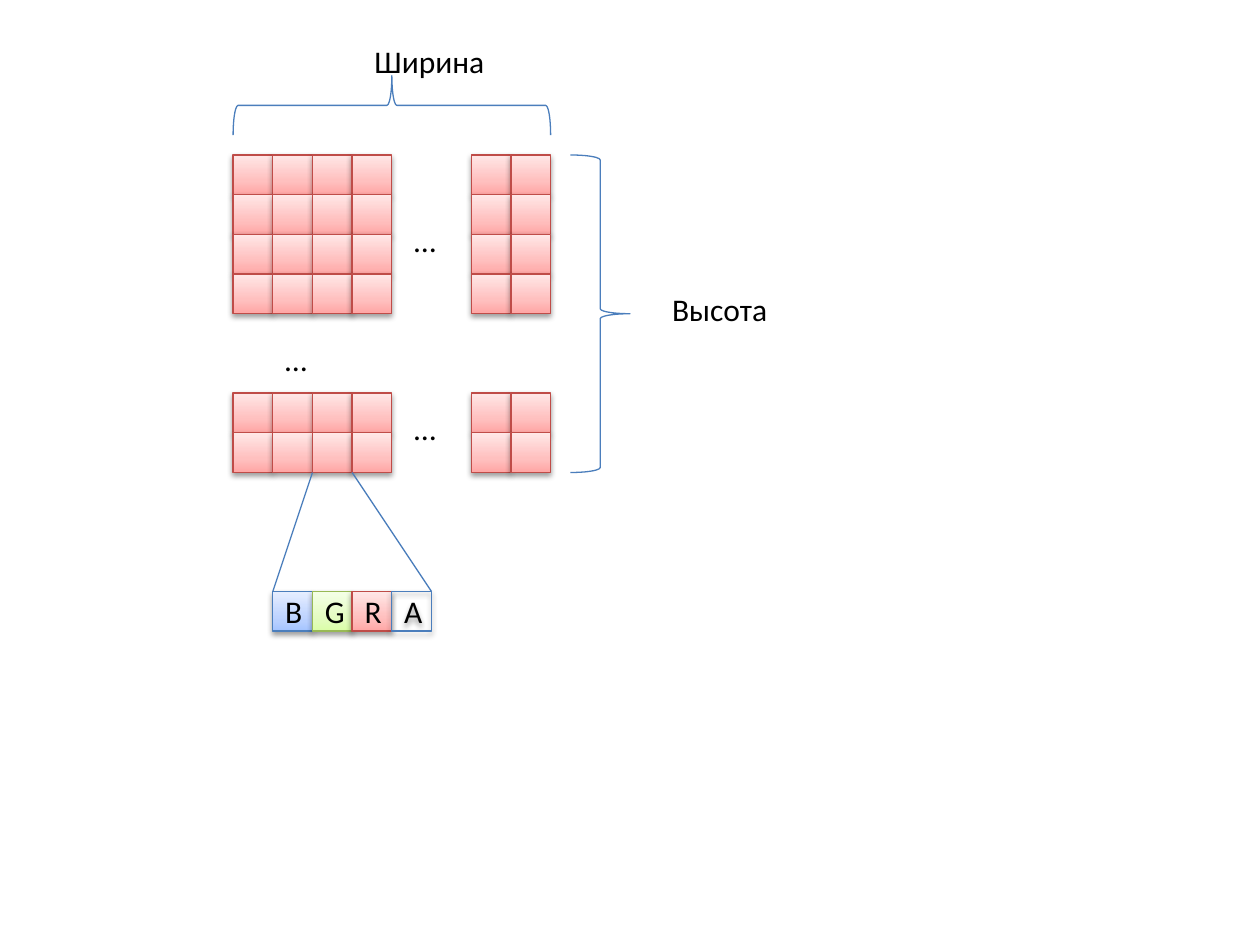
"""Build a slide showing how a bitmap is laid out as a grid of BGRA pixels."""
from dataclasses import dataclass
from itertools import product

from lxml import etree
from pptx import Presentation
from pptx import util as u
from pptx.dml.color import RGBColor
from pptx.enum import shapes, text
from pptx.oxml.ns import qn


@dataclass(frozen=True)
class Theme:
    font: str = "Calibri"
    size: int = 18
    ink: str = "000000"
    blue: str = "4B7EBC"
    green: str = "98B955"
    red: str = "BF4C48"
    line: float = 0.75
    blue_fade: tuple = ("A4C4FF", "BFD4FF", "E6EEFF")
    green_fade: tuple = ("DAFDA7", "E4FCC2", "F5FFE7")
    red_fade: tuple = ("FFA6A5", "FFC0BF", "FFE7E7")


THEME = Theme()
LEFT, TOP, CELL = 1.85, 1.23, 2.52 / 8

COLUMN_BLOCKS = [range(0, 4), range(6, 8)]
ROW_BLOCKS = [range(0, 4), range(6, 8)]
CHANNELS = [
    ("B", THEME.blue, THEME.blue_fade),
    ("G", THEME.green, THEME.green_fade),
    ("R", THEME.red, THEME.red_fade),
    ("A", THEME.blue, None),
]
CHANNEL_COLUMN, CHANNEL_ROW = 1, 11
ELLIPSES = [(1, 4.5), (4.25, 1.5), (4.25, 6.25)]
DIMENSIONS = [("Ширина", 3.25, -3, 1.08), ("Высота", 10.75, 3.25, 0.96)]
BRACES = [(8.5, 0, 0), (3.25, -5.25, 270)]
ZOOM_LINES = [((2, 8), (1, 11)), ((3, 8), (5, 11))]


def place(column, row):
    return u.Inches(LEFT + column * CELL), u.Inches(TOP + row * CELL)


def outline(item, color):
    item.line.color.rgb = RGBColor.from_string(color)
    item.line.width = u.Pt(THEME.line)


def write(frame, words):
    frame.text = words
    font = frame.paragraphs[0].font
    font.name, font.size = THEME.font, u.Pt(THEME.size)
    font.color.rgb = RGBColor.from_string(THEME.ink)


def fade(shape, colors):
    shape.fill.gradient()
    shape.fill.gradient_angle = 90
    stops = shape._element.spPr.find(".//" + qn("a:gsLst"))
    for stop in list(stops):
        stops.remove(stop)
    for position, color in zip((0, 35, 100), colors):
        stop = etree.SubElement(stops, qn("a:gs"), pos=str(position * 1000))
        etree.SubElement(stop, qn("a:srgbClr"), val=color)


def cast_shadow(shape):
    shape.shadow.inherit = False
    effects = shape._element.spPr.find(qn("a:effectLst"))
    shadow = etree.SubElement(effects, qn("a:outerShdw"), blurRad="40000",
                              dist="20000", dir="5400000", rotWithShape="0")
    color = etree.SubElement(shadow, qn("a:srgbClr"), val=THEME.ink)
    etree.SubElement(color, qn("a:alpha"), val="38000")


def add_cell(slide, column, row, color, colors, letter=None):
    cell = slide.shapes.add_shape(shapes.MSO_SHAPE.RECTANGLE, *place(column, row),
                                  u.Inches(CELL), u.Inches(CELL))
    if colors:
        fade(cell, colors)
    else:
        cell.fill.background()
    outline(cell, color)
    cast_shadow(cell)
    if letter:
        write(cell.text_frame, letter)
        cell.text_frame.vertical_anchor = text.MSO_ANCHOR.MIDDLE
        cell.text_frame.paragraphs[0].alignment = text.PP_ALIGN.CENTER


def add_label(slide, words, column, row, width, wrap=False):
    label = slide.shapes.add_textbox(*place(column, row), u.Inches(width), u.Inches(0.4))
    label.text_frame.word_wrap = wrap
    label.text_frame.auto_size = text.MSO_AUTO_SIZE.SHAPE_TO_FIT_TEXT
    write(label.text_frame, words)


def add_brace(slide, column, row, rotation):
    brace = slide.shapes.add_shape(shapes.MSO_SHAPE.RIGHT_BRACE, *place(column, row),
                                   u.Inches(1.5 * CELL), u.Inches(8 * CELL))
    brace.rotation = rotation
    brace.fill.background()
    brace.shadow.inherit = False
    outline(brace, THEME.blue)


def add_zoom_line(slide, start, end):
    zoom = slide.shapes.add_connector(shapes.MSO_CONNECTOR.STRAIGHT,
                                      *place(*start), *place(*end))
    outline(zoom, THEME.blue)
    etree.SubElement(zoom._element.spPr, qn("a:effectLst"))


def main():
    deck = Presentation()
    deck.slide_width, deck.slide_height = u.Inches(10), u.Inches(7.5)
    slide = deck.slides.add_slide(deck.slide_layouts[6])
    for rows, columns in product(ROW_BLOCKS, COLUMN_BLOCKS):
        for row, column in product(rows, columns):
            add_cell(slide, column, row, THEME.red, THEME.red_fade)
    for column, row in ELLIPSES:
        add_label(slide, "…", column, row, 0.39, wrap=True)
    for brace in BRACES:
        add_brace(slide, *brace)
    for dimension in DIMENSIONS:
        add_label(slide, *dimension)
    for column, (letter, color, colors) in enumerate(CHANNELS, CHANNEL_COLUMN):
        add_cell(slide, column, CHANNEL_ROW, color, colors, letter)
    for start, end in ZOOM_LINES:
        add_zoom_line(slide, start, end)
    deck.save("out.pptx")


if __name__ == "__main__":
    main()
